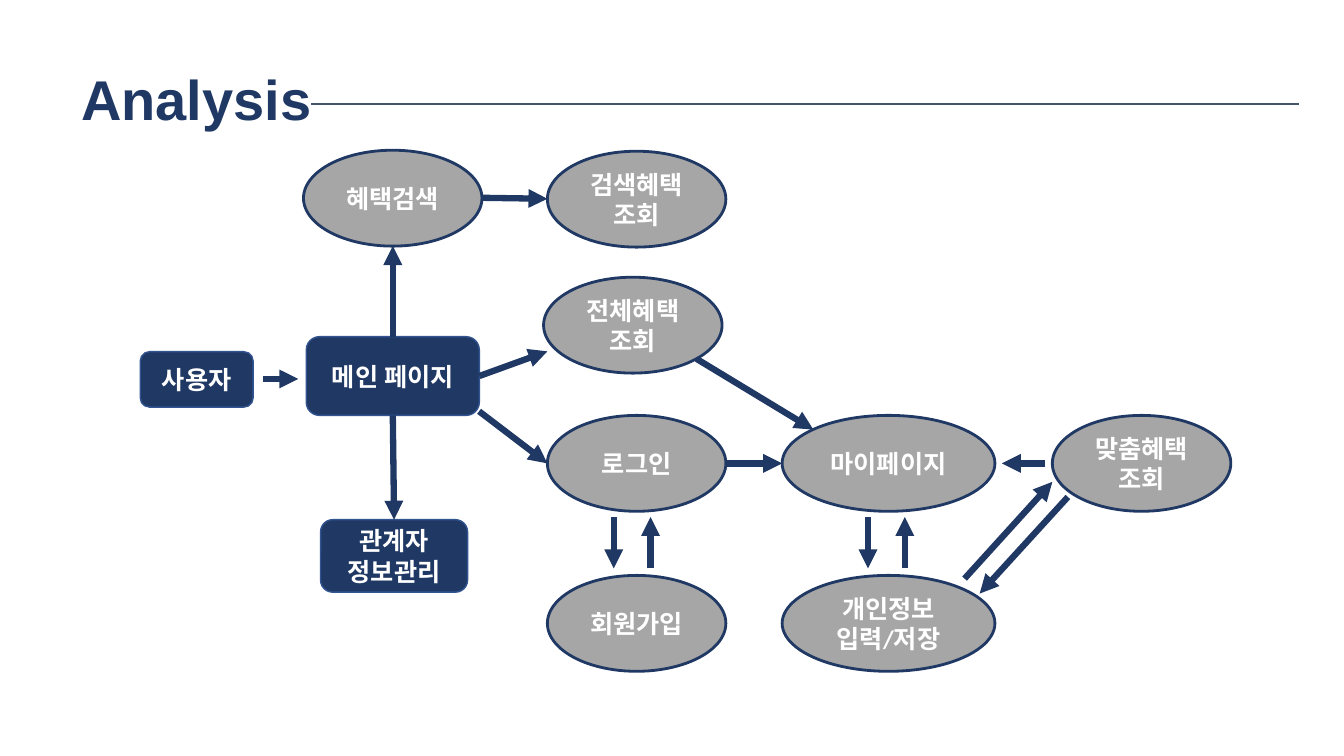
from lxml.etree import SubElement
from pptx import Presentation
from pptx.dml.color import RGBColor as RGB
from pptx.enum.shapes import MSO_CONNECTOR as LINK, MSO_SHAPE as SHAPE
from pptx.enum.text import MSO_ANCHOR as ANCHOR, PP_ALIGN as ALIGN
from pptx.oxml.ns import qn
from pptx.util import Pt

COLORS = {"navy": "203864", "edge": "325491", "gray": "A6A6A6",
          "slate": "44546A", "white": "FFFFFF"}
COLOR = {name: RGB.from_string(code) for name, code in COLORS.items()}
TITLE = {"name": "Arial", "size": Pt(40), "bold": True}
LABEL = {"name": "Calibri", "size": Pt(18), "bold": True}


def write(frame, text, form, color, align):
    frame.word_wrap = True
    frame.vertical_anchor = ANCHOR.MIDDLE
    frame.text = text
    for para in frame.paragraphs:
        para.alignment = align
        for key, value in form.items():
            setattr(para.font, key, value)
        para.font.color.rgb = COLOR[color]


def draw(ends, color, width):
    """Add a straight line without shadow."""
    line = slide.shapes.add_connector(LINK.STRAIGHT, *map(Pt, ends))
    line.line.color.rgb = COLOR[color]
    line.line.width = Pt(width)
    SubElement(line._element.spPr, qn("a:effectLst"))
    return line


deck = Presentation()
deck.slide_width, deck.slide_height = Pt(960), Pt(540)
slide = deck.slides.add_slide(deck.slide_layouts[6])

title = slide.shapes.add_textbox(Pt(51), Pt(21), Pt(828), Pt(104.5))
write(title.text_frame, "Analysis", TITLE, "navy", ALIGN.LEFT)
title.text_frame.paragraphs[0].line_spacing = 0.9
draw((222.5, 74.3, 928, 74.3), "slate", 1.5)

# Pages are ellipses of one height, in two widths
HIGH, SLIM, WIDE = 68.5, 127.5, 152
COL = [216.8, 391, 558.7, 751.7]
ROW = [108, 296.7, 411]
boxes = [
    ("사용자", 100.2, 251.2, 80.6, 39.6),
    ("메인 페이지", 218.8, 240.5, 123.6, 56.2),
    ("관계자\n정보관리", 229, 371.2, 105, 51.8),
]
pages = [
    ("혜택검색", COL[0], 107.3, SLIM),
    ("검색혜택 조회", COL[1], ROW[0], SLIM),
    ("전체혜택조회", 388.3, 198, SLIM),
    ("로그인", COL[1], ROW[1], SLIM),
    ("회원가입", COL[1], ROW[2], SLIM),
    ("마이페이지", COL[2], ROW[1], WIDE),
    ("개인정보 입력/저장", COL[2], ROW[2], WIDE),
    ("맞춤혜택조회", COL[3], ROW[1], SLIM),
]
nodes = [(SHAPE.ROUNDED_RECTANGLE, "navy", "edge", 1, *box) for box in boxes]
nodes += [(SHAPE.OVAL, "gray", "navy", 2, *page, HIGH) for page in pages]
made = {}
for kind, fill, edge, width, text, *place in nodes:
    node = slide.shapes.add_shape(kind, *map(Pt, place))
    node.shadow.inherit = False
    node.fill.solid()
    node.fill.fore_color.rgb = COLOR[fill]
    node.line.color.rgb = COLOR[edge]
    node.line.width = Pt(width)
    write(node.text_frame, text, LABEL, "white", ALIGN.CENTER)
    made[text] = node

# Ends, then the box and side joined at the start and at the end
main, staff = made["메인 페이지"], made["관계자\n정보관리"]
arrows = [
    ((188, 270.7, 213, 270.7), None, None),
    ((280.6, 240.5, 280.6, 175.8), (main, 0), None),
    ((280.6, 296.7, 281.5, 371.2), (main, 2), (staff, 0)),
    ((342.4, 268.6, 391, 251), (main, 3), None),
    ((342.2, 293.8, 391, 331), None, None),
    ((344.3, 141.3, 391, 142), None, None),
    ((518.5, 331, 558.7, 331), None, None),
    ((497.5, 256.3, 581, 306.9), None, None),
    ((746.8, 331, 715.7, 331), None, None),
    ((689, 413.3, 751.7, 344.2), None, None),
    ((762.8, 355, 699.8, 424), None, None),
]
for x in (438.4, 620):
    arrows += [((x, 369.3, x, 406), None, None),
               ((x + 26.3, 406, x + 26.3, 369.3), None, None)]
for ends, start, stop in arrows:
    arrow = draw(ends, "navy", 4.5)
    SubElement(arrow.line._get_or_add_ln(), qn("a:tailEnd"), type="triangle")
    if start:
        arrow.begin_connect(*start)
    if stop:
        arrow.end_connect(*stop)

deck.save("out.pptx")
